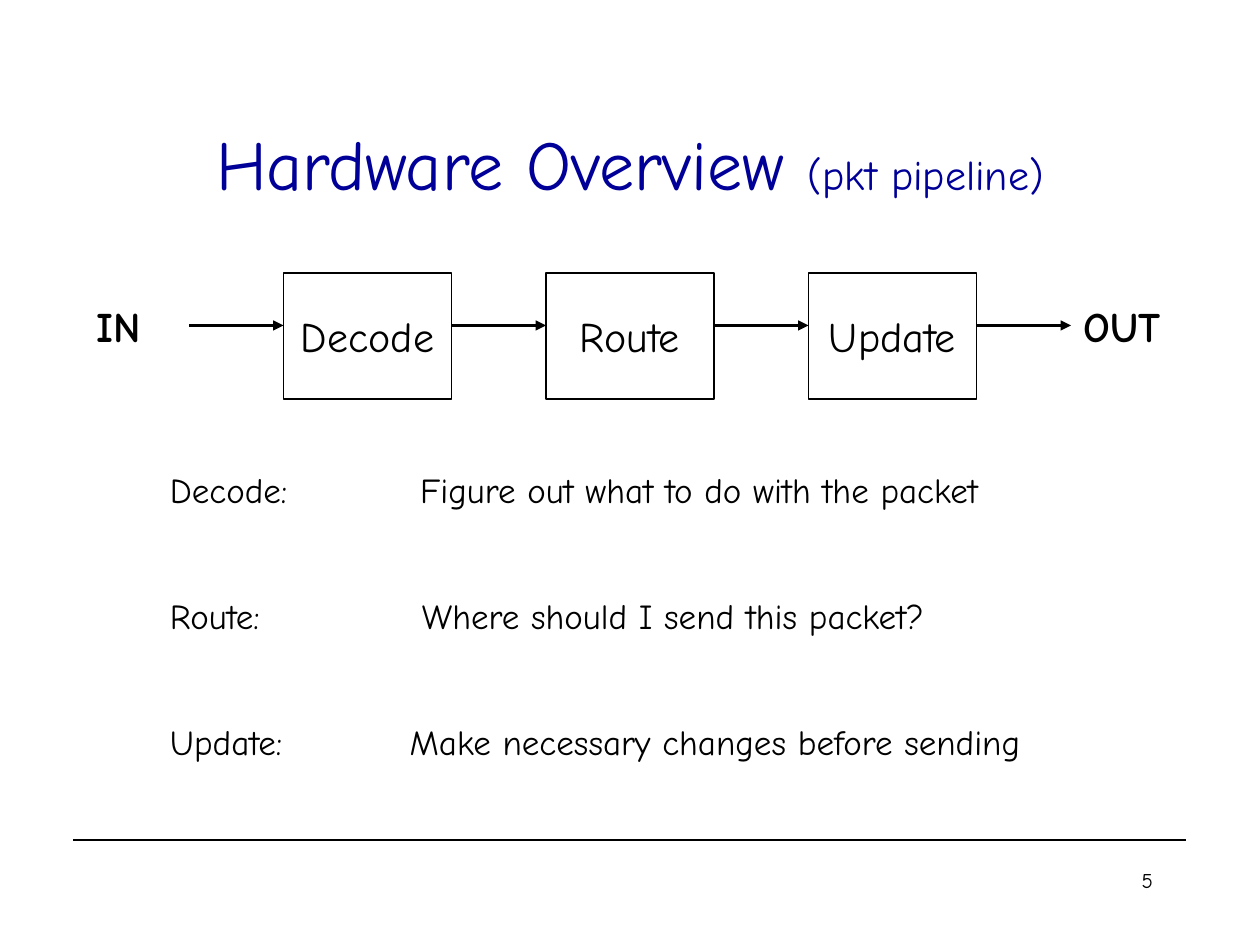
from lxml import etree
from pptx import Presentation
from pptx.dml.color import RGBColor
from pptx.enum.shapes import MSO_CONNECTOR, MSO_SHAPE
from pptx.enum.text import MSO_ANCHOR, PP_ALIGN
from pptx.oxml.ns import qn
from pptx.util import Pt

RECT, STRAIGHT = MSO_SHAPE.RECTANGLE, MSO_CONNECTOR.STRAIGHT
TOP, MIDDLE = MSO_ANCHOR.TOP, MSO_ANCHOR.MIDDLE
LEFT, CENTER, RIGHT = PP_ALIGN.LEFT, PP_ALIGN.CENTER, PP_ALIGN.RIGHT

FONT = "Comic Neue"
COLORS = {"ink": "000000", "title": "000099", "paper": "FFFFFF"}


def color(name):
    return RGBColor.from_string(COLORS[name])


def write(tf, *parts, fill="ink", bold=False, align=LEFT, anchor=TOP, wrap=True, tab=None):
    """Fill a text frame with one paragraph of (text, size) parts."""
    tf.word_wrap = wrap
    tf.vertical_anchor = anchor
    p = tf.paragraphs[0]
    p.alignment = align
    if tab:
        tabs = etree.SubElement(p._p.get_or_add_pPr(), qn("a:tabLst"))
        etree.SubElement(tabs, qn("a:tab"), pos=str(Pt(tab)), algn="l")
    for text, size in parts:
        r = p.add_run()
        r.text = text
        r.font.name = FONT
        r.font.size = Pt(size)
        r.font.bold = bold
        r.font.color.rgb = color(fill)


def add_text(s, box, *parts, **fmt):
    sp = s.shapes.add_textbox(*map(Pt, box))
    write(sp.text_frame, *parts, **fmt)


def add_line(s, x1, x2, y, width, arrow=False):
    cx = s.shapes.add_connector(STRAIGHT, Pt(x1), Pt(y), Pt(x2), Pt(y))
    cx.line.color.rgb = color("ink")
    cx.line.width = Pt(width)
    if arrow:
        etree.SubElement(cx.line._get_or_add_ln(), qn("a:tailEnd"), type="triangle")
    etree.SubElement(cx._element.spPr, qn("a:effectLst"))


def add_stage(s, box, label):
    sp = s.shapes.add_shape(RECT, *map(Pt, box))
    sp.shadow.inherit = False
    sp.fill.solid()
    sp.fill.fore_color.rgb = color("paper")
    sp.line.color.rgb = color("ink")
    sp.line.width = Pt(0.75)
    write(sp.text_frame, (label, 24), align=CENTER, anchor=MIDDLE, wrap=False)


def add_pipeline(s, box, stages):
    """Row of stages with an arrow before each one and after the last."""
    x, y, w, h = box
    gap = 54
    stage_w = (w - gap * (len(stages) + 1)) / len(stages)
    pitch = stage_w + gap
    for i, label in enumerate(stages):
        add_stage(s, (x + gap + i * pitch, y, stage_w, h), label)
    for i in range(len(stages) + 1):
        add_line(s, x + i * pitch, x + i * pitch + gap, y + 30, 1.5, arrow=True)
    # End labels
    add_text(s, (x - 60, y + 12, 54, 36), ("IN", 24), bold=True)
    add_text(s, (x + w, y + 12, 90, 36), ("OUT", 24), bold=True)


def add_definitions(s, box, rows):
    x, y, w, h = box
    pitch = h / len(rows)
    for i, (term, meaning, tab) in enumerate(rows):
        add_text(s, (x, y + i * pitch, w, 32), (f"{term}:\t{meaning}", 20), tab=tab)


def add_footer(s, box, number):
    x, y, w, h = box
    add_line(s, x, x + w, y, 0.75)
    add_text(s, (x + w - 162, y + 12, 150, h - 12), (number, 12), align=RIGHT)


def main():
    prs = Presentation()
    prs.slide_width, prs.slide_height = Pt(720), Pt(540)
    s = prs.slides.add_slide(prs.slide_layouts[6])

    add_footer(s, (42, 480, 636, 48), "5")
    add_text(s, (54, 48, 612, 90), ("Hardware Overview ", 40), ("(pkt pipeline)", 24),
             fill="title", align=CENTER, anchor=MIDDLE)
    add_pipeline(s, (108, 156, 504, 72), ["Decode", "Route", "Update"])
    add_definitions(s, (90, 264, 600, 216), [
        ("Decode", "Figure out what to do with the packet", 143),
        ("Route", "Where should I send this packet?", 144),
        ("Update", "Make necessary changes before sending", 137),
    ])
    prs.save("out.pptx")


if __name__ == "__main__":
    main()
